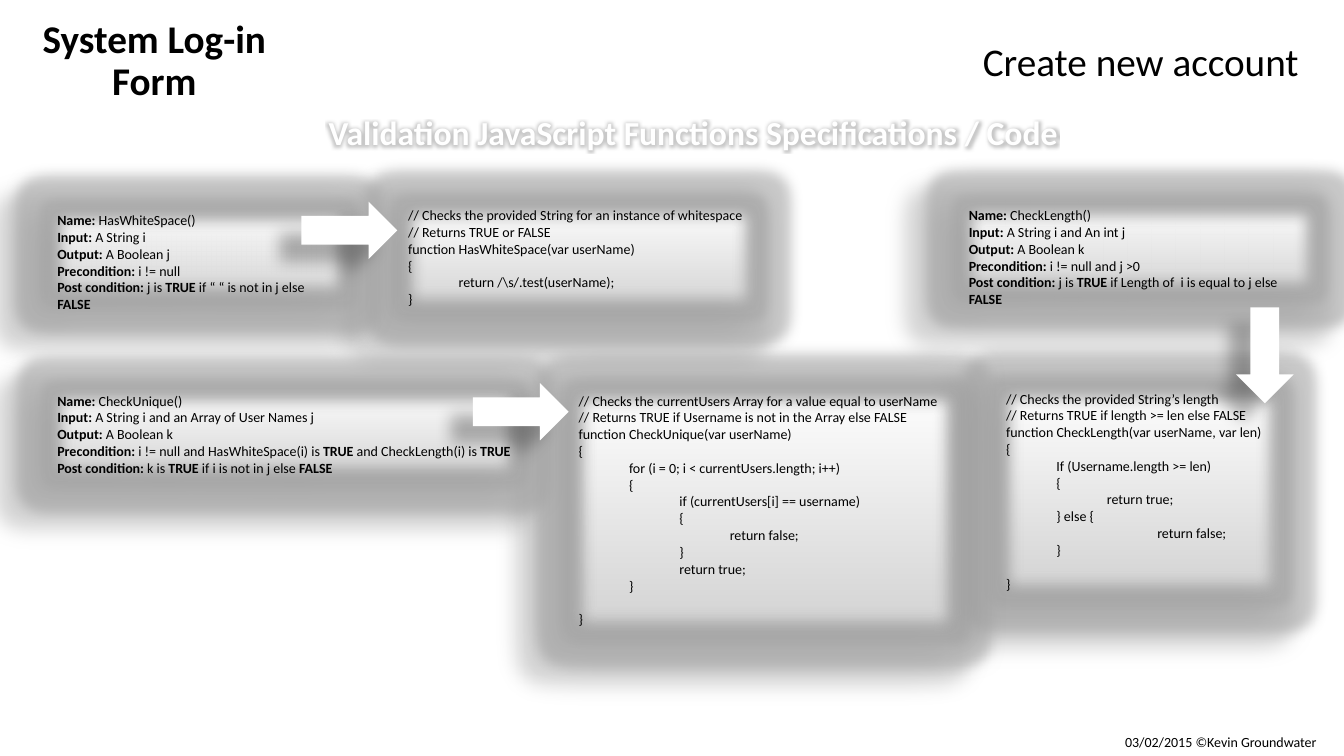
from dataclasses import dataclass

from lxml import etree
from pptx import Presentation
from pptx.dml.color import RGBColor
from pptx.enum.shapes import MSO_SHAPE
from pptx.enum.text import MSO_ANCHOR, MSO_AUTO_SIZE, PP_ALIGN
from pptx.oxml.ns import qn
from pptx.util import Inches, Pt

RECTANGLE = MSO_SHAPE.RECTANGLE
RIGHT_ARROW = MSO_SHAPE.RIGHT_ARROW
TOP, BOTTOM = MSO_ANCHOR.TOP, MSO_ANCHOR.BOTTOM
GROW = MSO_AUTO_SIZE.SHAPE_TO_FIT_TEXT
LEFT, CENTER = PP_ALIGN.LEFT, PP_ALIGN.CENTER
TITLE_ONLY = 5


@dataclass(frozen=True)
class Theme:
    """Colours, font and type sizes of the slide."""
    font: str = "Calibri"
    ink: str = "000000"
    paper: str = "FFFFFF"
    panel_end: str = "D1D1D1"
    glow: str = "A5A5A5"
    title_size: int = 28
    heading_size: int = 24
    body_size: int = 10


THEME = Theme()

# Bold parts of a specification stand between asterisks.
SPECIFICATIONS = [
    ((0.47, 2.05, 3, 0.94), [
        "*Name: *HasWhiteSpace()",
        "*Input:* A String i ",
        "*Output:* A Boolean j ",
        "*Precondition: *i != null",
        "*Post condition:* j is *TRUE* if “ “ is not in j else *FALSE *"]),
    ((9.51, 2, 3.59, 0.94), [
        "*Name: *CheckLength()",
        "*Input:* A String i and An int j",
        "*Output:* A Boolean k ",
        "*Precondition: *i != null and j >0",
        "*Post condition:* j is *TRUE* if Length of  i is equal to j else *FALSE *"]),
    ((0.47, 3.84, 4.7, 0.94), [
        "*Name: *CheckUnique()",
        "*Input:* A String i and an Array of User Names j",
        "*Output:* A Boolean k",
        "*Precondition: *i != null and HasWhiteSpace(i) is *TRUE* and CheckLength(i) is *TRUE*",
        "*Post condition:* k is *TRUE* if i is not in j else *FALSE *"]),
]

# Each line of code: indent level, text, and optionally the gap before it in points.
CODE_LISTINGS = [
    ((9.88, 3.82, 2.85, 2.12), [
        (0, "// Checks the provided String’s length"),
        (0, "// Returns TRUE if length >= len else FALSE"),
        (0, "function CheckLength(var userName, var len)"),
        (0, "{"),
        (1, "If (Username.length >= len)"),
        (1, "{"),
        (2, "return true;"),
        (1, "} else {"),
        (3, "return false;"),
        (1, "}"),
        (0, "}", 12)]),
    ((3.95, 2, 3.58, 1.11), [
        (0, "// Checks the provided String for an instance of whitespace"),
        (0, "// Returns TRUE or FALSE"),
        (0, "function HasWhiteSpace(var userName)"),
        (0, "{"),
        (1, r"return /\s/.test(userName);"),
        (0, "}")]),
    ((5.64, 3.84, 3.88, 2.46), [
        (0, "// Checks the currentUsers Array for a value equal to userName"),
        (0, "// Returns TRUE if Username is not in the Array else FALSE"),
        (0, "function CheckUnique(var userName)"),
        (0, "{"),
        (1, "for (i = 0; i < currentUsers.length; i++)"),
        (1, "{"),
        (2, "if (currentUsers[i] == username)"),
        (2, "{"),
        (3, "return false;"),
        (2, "}"),
        (2, "return true;"),
        (1, "}"),
        (0, "}", 12)]),
]

ARROWS = [(12.07, 3.24, 90), (2.99, 2, 0), (4.69, 3.8, 0)]


def add_effect(effects, tag, color=None, alpha=0, **attributes):
    """Append one effect, with its translucent colour, to an effect list."""
    effect = etree.SubElement(effects, qn(tag), attributes)
    if color:
        tint = etree.SubElement(effect, qn("a:srgbClr"), val=color)
        etree.SubElement(tint, qn("a:alpha"), val=str(alpha * 1000))


def add_glow(effects, radius):
    """Append a grey glow to an effect list."""
    add_effect(effects, "a:glow", THEME.glow, 60, rad=str(Pt(radius)))


def add_shadow(effects):
    """Append the soft shadow that falls to the lower left."""
    add_effect(effects, "a:outerShdw", THEME.ink, 28, blurRad=str(Pt(11.8)),
               dist=str(Pt(19.7)), dir=str(141 * 60000), algn="ctr", rotWithShape="0")


def clear_effects(shape):
    """Drop inherited effects and return the shape's own effect list."""
    shape.shadow.inherit = False
    return shape.element.spPr.find(qn("a:effectLst"))


def format_run(run, size, bold=False, color=THEME.ink):
    """Set the font of a run."""
    run.font.name = THEME.font
    run.font.size = Pt(size)
    run.font.bold = bold
    run.font.color.rgb = RGBColor.from_string(color)


def place(shape, box):
    """Move and size a shape, in inches."""
    shape.left, shape.top, shape.width, shape.height = map(Inches, box)


def add_label(slide, box, text, size, bold=False, color=THEME.ink, align=LEFT, wrap=True):
    """Add a one-line text box and return its run."""
    label = slide.shapes.add_textbox(*map(Inches, box))
    frame = label.text_frame
    frame.word_wrap = wrap
    frame.auto_size = GROW
    frame.text = text
    paragraph = frame.paragraphs[0]
    paragraph.alignment = align
    run = paragraph.runs[0]
    format_run(run, size, bold, color)
    return run


def add_panel(slide, box):
    """Add a glowing gradient panel and return its text frame."""
    panel = slide.shapes.add_shape(RECTANGLE, *map(Inches, box))
    panel.line.fill.background()
    panel.fill.gradient()
    panel.fill.gradient_angle = 270
    for stop, color in zip(panel.fill.gradient_stops, (THEME.paper, THEME.panel_end)):
        stop.color.rgb = RGBColor.from_string(color)
    effects = clear_effects(panel)
    add_glow(effects, 18)
    add_shadow(effects)
    add_effect(effects, "a:softEdge", rad=str(Pt(10)))
    frame = panel.text_frame
    frame.word_wrap = True
    frame.auto_size = GROW
    frame.vertical_anchor = TOP
    return frame


def add_paragraph(frame, position):
    """Return the left-aligned paragraph for a position in the frame."""
    paragraph = frame.add_paragraph() if position else frame.paragraphs[0]
    paragraph.alignment = LEFT
    return paragraph


def add_specification(slide, box, lines):
    """Add a panel that specifies a function, with its bold parts."""
    frame = add_panel(slide, box)
    for position, line in enumerate(lines):
        paragraph = add_paragraph(frame, position)
        for index, part in enumerate(line.split("*")):
            if part:
                run = paragraph.add_run()
                run.text = part
                format_run(run, THEME.body_size, bold=index % 2 == 1)


def add_code(slide, box, lines):
    """Add a panel with indented code."""
    frame = add_panel(slide, box)
    for position, (level, text, *gap) in enumerate(lines):
        paragraph = add_paragraph(frame, position)
        paragraph.text = text
        paragraph.level = level
        if gap:
            paragraph.space_before = Pt(gap[0])
        format_run(paragraph.runs[0], THEME.body_size)


def add_arrow(slide, left, top, rotation):
    """Add a white block arrow with a shadow."""
    arrow = slide.shapes.add_shape(RIGHT_ARROW, *map(Inches, (left, top, 0.95, 0.57)))
    arrow.rotation = rotation
    arrow.fill.solid()
    arrow.fill.fore_color.rgb = RGBColor.from_string(THEME.paper)
    arrow.line.fill.background()
    add_shadow(clear_effects(arrow))


def set_title(slide, text):
    """Place and format the slide title."""
    title = slide.shapes.title
    place(title, (0.12, 0.14, 2.82, 0.94))
    frame = title.text_frame
    frame.text = text
    frame.vertical_anchor = BOTTOM
    paragraph = frame.paragraphs[0]
    paragraph.alignment = CENTER
    paragraph.line_spacing = 0.9
    format_run(paragraph.runs[0], THEME.title_size, bold=True)


def main():
    """Build the slide and save it."""
    presentation = Presentation()
    presentation.slide_width, presentation.slide_height = Inches(13.33), Inches(7.5)
    slide = presentation.slides.add_slide(presentation.slide_layouts[TITLE_ONLY])
    set_title(slide, "System Log-in Form")
    add_label(slide, (9.65, 0.32, 3.68, 0.57), "Create new account", THEME.title_size)
    for box, lines in CODE_LISTINGS:
        add_code(slide, box, lines)
    for box, lines in SPECIFICATIONS:
        add_specification(slide, box, lines)
    for arrow in ARROWS:
        add_arrow(slide, *arrow)
    heading = add_label(slide, (3.13, 1.06, 7.49, 0.91),
                        "Validation JavaScript Functions Specifications / Code",
                        THEME.heading_size, True, THEME.paper, CENTER, wrap=False)
    effects = etree.Element(qn("a:effectLst"))
    add_glow(effects, 6)
    heading.font.fill._xPr.find(qn("a:solidFill")).addnext(effects)
    add_label(slide, (11.06, 7.23, 2.27, 0.27), "03/02/2015 ©Kevin Groundwater", THEME.body_size)
    presentation.save("out.pptx")


if __name__ == "__main__":
    main()
